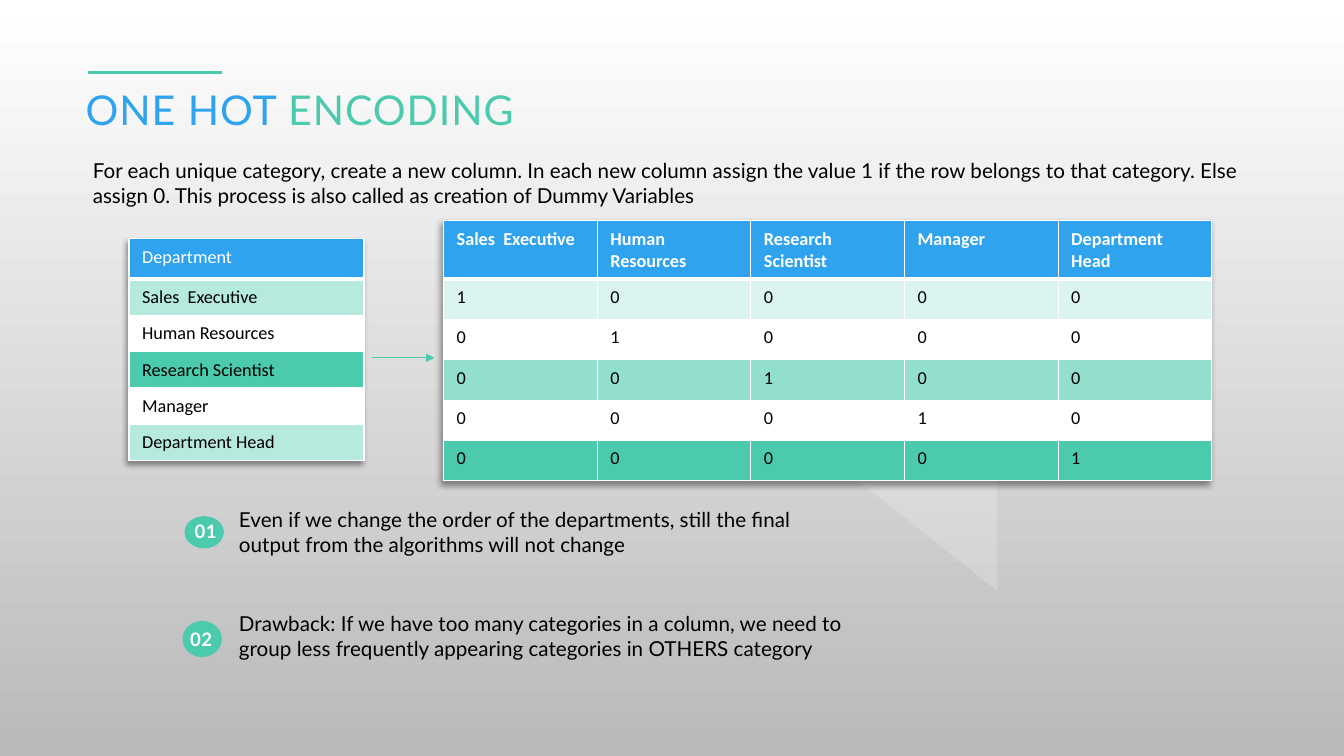
from dataclasses import dataclass

from lxml import etree
from pptx import Presentation
from pptx.dml.color import RGBColor
from pptx.enum import shapes, text
from pptx.oxml import parse_xml
from pptx.oxml.ns import nsdecls, qn
from pptx.util import Inches, Pt


@dataclass(frozen=True)
class Theme:
    blue: str = "2FA3EE"
    green: str = "4BCAAD"
    green_mid: str = "93DFCE"
    green_light: str = "B7EADE"
    green_pale: str = "DBF4EF"
    white: str = "FFFFFF"
    grey: str = "B9B9B9"
    black: str = "000000"
    heading_font: str = "Lato"
    table_font: str = "Calibri"
    title_size: float = 29.3
    body_size: float = 14.7
    badge_size: float = 13.3
    table_size: float = 13


def rgb(value):
    return RGBColor.from_string(value)


def inches(*lengths):
    return [Inches(length) for length in lengths]


class SlideBuilder:
    def __init__(self, slide, theme):
        self.slide = slide
        self.theme = theme

    def background(self, top, bottom):
        fill = self.slide.background.fill
        fill.gradient()
        fill.gradient_angle = 270
        for stop, color in zip(fill.gradient_stops, (top, bottom)):
            stop.color.rgb = rgb(color)

    def style(self, paragraph, size, color, font=None, bold=False):
        paragraph.font.name = font or self.theme.heading_font
        paragraph.font.size = Pt(size)
        paragraph.font.bold = bold
        paragraph.font.color.rgb = rgb(color)

    def frame(self, shape):
        """Give a text shape no margins, wrapping and top anchoring."""
        frame = shape.text_frame
        frame.margin_left = frame.margin_right = 0
        frame.margin_top = frame.margin_bottom = 0
        frame.word_wrap = True
        frame.auto_size = text.MSO_AUTO_SIZE.NONE
        frame.vertical_anchor = text.MSO_ANCHOR.TOP
        return frame

    def placeholder(self, shape, box):
        shape.left, shape.top, shape.width, shape.height = inches(*box)
        paragraph = self.frame(shape).paragraphs[0]
        paragraph.alignment = text.PP_ALIGN.LEFT
        paragraph.space_before = Pt(0)
        return paragraph

    def title(self, parts, box):
        paragraph = self.placeholder(self.slide.shapes.title, box)
        paragraph.font.name = self.theme.heading_font
        paragraph.font.size = Pt(self.theme.title_size)
        for words, color in parts:
            run = paragraph.add_run()
            run.text = words
            run.font.color.rgb = rgb(color)
            run.font._element.set("spc", "70")

    def body(self, words, box):
        paragraph = self.placeholder(self.slide.placeholders[1], box)
        properties = paragraph._p.get_or_add_pPr()
        properties.set("marL", "0")
        properties.set("indent", "0")
        etree.SubElement(properties, qn("a:buNone"))
        paragraph.text = words
        self.style(paragraph, self.theme.body_size, self.theme.black)

    def textbox(self, words, box):
        label = self.slide.shapes.add_textbox(*inches(*box))
        paragraph = self.frame(label).paragraphs[0]
        paragraph.text = words
        self.style(paragraph, self.theme.body_size, self.theme.black)

    def badge(self, number, oval_box, number_box):
        group = self.slide.shapes.add_group_shape().shapes
        oval = group.add_shape(shapes.MSO_SHAPE.OVAL, *inches(*oval_box))
        oval.shadow.inherit = False
        oval.fill.solid()
        oval.fill.fore_color.rgb = rgb(self.theme.green)
        oval.line.fill.background()
        paragraph = self.frame(group.add_textbox(*inches(*number_box))).paragraphs[0]
        paragraph.alignment = text.PP_ALIGN.CENTER
        run = paragraph.add_run()
        run.text = number
        run.font._element.set("spc", "30")
        self.style(paragraph, self.theme.badge_size, self.theme.white, bold=True)

    def line(self, start, end, width, arrow=False):
        line = self.slide.shapes.add_connector(
            shapes.MSO_CONNECTOR.STRAIGHT, *inches(*start, *end))
        line.line.color.rgb = rgb(self.theme.green)
        line.line.width = Pt(width)
        if arrow:
            etree.SubElement(line.line._get_or_add_ln(), qn("a:tailEnd"), type="triangle")
        etree.SubElement(line._element.spPr, qn("a:effectLst"))

    def translucent_outline(self, points, opacity):
        corners = [inches(*point) for point in points]
        builder = self.slide.shapes.build_freeform(*corners[0])
        builder.add_line_segments(corners[1:], close=True)
        outline = builder.convert_to_shape()
        outline.shadow.inherit = False
        outline.line.fill.background()
        outline.fill.solid()
        outline.fill.fore_color.rgb = rgb(self.theme.white)
        color = outline._element.spPr.find(".//" + qn("a:srgbClr"))
        etree.SubElement(color, qn("a:alpha"), val=str(opacity * 1000))

    def cell(self, cell, words, fill, header, bold):
        theme = self.theme
        cell.margin_left = cell.margin_right = Inches(0.13)
        cell.margin_top = cell.margin_bottom = Inches(0.07)
        for side in "LRTB":
            width = Pt(3 if header and side == "B" else 1)
            cell._tc.get_or_add_tcPr().append(parse_xml(
                f'<a:ln{side} {nsdecls("a")} w="{width}"><a:solidFill>'
                f'<a:srgbClr val="{theme.white}"/></a:solidFill></a:ln{side}>'))
        cell.fill.solid()
        cell.fill.fore_color.rgb = rgb(fill)
        paragraph = cell.text_frame.paragraphs[0]
        paragraph.text = words
        self.style(paragraph, theme.table_size, theme.white if header else theme.black,
                   theme.table_font, bold)

    def table(self, rows, fills, box, header_height, row_height, bold_header=False):
        table = self.slide.shapes.add_table(len(rows), len(rows[0]), *inches(*box)).table
        table._tbl.tblPr.insert(0, parse_xml(
            f'<a:effectLst {nsdecls("a")}><a:outerShdw blurRad="50800" dist="38100" '
            f'dir="8100000" algn="tr" rotWithShape="0"><a:srgbClr val="{self.theme.black}">'
            '<a:alpha val="40000"/></a:srgbClr></a:outerShdw></a:effectLst>'))
        for r, (values, fill) in enumerate(zip(rows, fills)):
            header = r == 0
            table.rows[r].height = Inches(header_height if header else row_height)
            for c, words in enumerate(values):
                self.cell(table.cell(r, c), words, fill, header, header and bold_header)


def main():
    deck = Presentation()
    deck.slide_width, deck.slide_height = inches(13.33, 7.5)
    theme = Theme()
    page = SlideBuilder(deck.slides.add_slide(deck.slide_layouts[1]), theme)

    page.background(theme.white, theme.grey)
    page.line((0.87, 0.72), (2.2, 0.72), 2.25)
    page.title([("ONE HOT ", theme.blue), ("ENCODING", theme.green)],
               (0.85, 0.84, 11.6, 0.56))
    page.body("For each unique category, create a new column. In each new column assign "
              "the value 1 if the row belongs to that category. Else assign 0. This process "
              "is also called as creation of Dummy Variables", (0.92, 1.57, 11.6, 0.73))

    page.textbox("Even if we change the order of the departments, still the final output "
                 "from the algorithms will not change", (2.37, 5.03, 5.55, 0.49))
    page.badge("01", (1.83, 5.12, 0.39, 0.32), (1.87, 5.16, 0.34, 0.22))
    page.textbox("Drawback: If we have too many categories in a column, we need to group "
                 "less frequently appearing categories in OTHERS category",
                 (2.37, 6.06, 6.23, 0.49))
    page.badge("02", (1.81, 6.16, 0.39, 0.36), (1.87, 6.23, 0.25, 0.22))
    page.translucent_outline([(6.97, 3.55), (9.89, 3.55), (9.89, 5.86)], 20)

    departments = ["Sales  Executive", "Human Resources", "Research Scientist",
                   "Manager", "Department Head"]
    page.table([[name] for name in ["Department", *departments]],
               [theme.blue, theme.green_light, theme.white, theme.green,
                theme.white, theme.green_light],
               (1.28, 2.37, 2.33, 2.18), 0.4, 0.36)
    one_hot = [[str(int(name == column)) for column in departments] for name in departments]
    page.table([departments, *one_hot],
               [theme.blue, theme.green_pale, theme.white, theme.green_mid,
                theme.white, theme.green],
               (4.4, 2.19, 7.62, 2.58), 0.58, 0.4, bold_header=True)
    page.line((3.69, 3.55), (4.31, 3.55), 0.75, arrow=True)

    deck.save("out.pptx")


if __name__ == "__main__":
    main()
